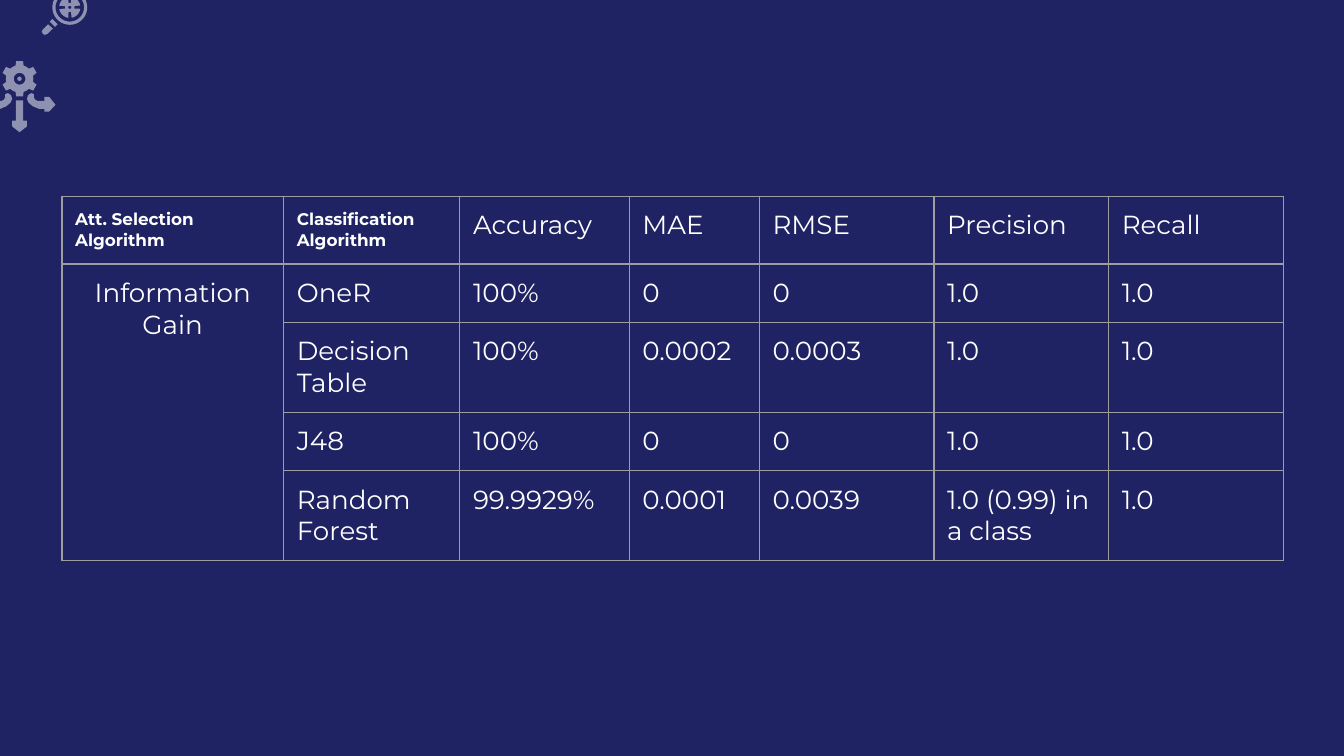
from dataclasses import dataclass
from math import cos, radians, sin

from lxml.etree import SubElement
from pptx import Presentation
from pptx.dml.color import RGBColor as Color
from pptx.enum.text import PP_ALIGN as Align
from pptx.oxml.ns import qn
from pptx.util import Cm, Pt


@dataclass(frozen=True)
class Theme:
    back: str = "1F2363"
    ink: str = "FFFFFF"
    border: str = "9E9E9E"
    font: str = "Montserrat"
    small: float = 9
    body: float = 14
    border_width: float = 0.75
    icon_alpha: int = 50
    padding: float = 0.25


class Painter:
    def __init__(self, page, theme):
        self.page = page
        self.theme = theme

    def background(self):
        fill = self.page.background.fill
        fill.solid()
        fill.fore_color.rgb = Color.from_string(self.theme.back)

    def outline(self, *contours):
        """Draw one translucent shape; later contours cut holes."""
        loops = [[(Cm(x), Cm(y)) for x, y in contour] for contour in contours]
        builder = self.page.shapes.build_freeform(*loops[0][0], scale=1.0)
        builder.add_line_segments(loops[0][1:], close=True)
        for loop in loops[1:]:
            builder.move_to(*loop[0])
            builder.add_line_segments(loop[1:], close=True)
        shape = builder.convert_to_shape()
        shape.shadow.inherit = False
        shape.line.fill.background()
        shape.fill.solid()
        shape.fill.fore_color.rgb = Color.from_string(self.theme.ink)
        tint = shape.fill._xPr.find(".//" + qn("a:srgbClr"))
        SubElement(tint, qn("a:alpha"), val=str(self.theme.icon_alpha * 1000))

    def borders(self, cell):
        properties = cell._tc.get_or_add_tcPr()
        for side in ("lnL", "lnR", "lnT", "lnB"):
            line = SubElement(properties, qn(f"a:{side}"), w=str(Pt(self.theme.border_width)))
            fill = SubElement(line, qn("a:solidFill"))
            SubElement(fill, qn("a:srgbClr"), val=self.theme.border)

    def cell(self, cell, words, **formats):
        self.borders(cell)
        cell.fill.background()
        for side in ("left", "right", "top", "bottom"):
            setattr(cell, f"margin_{side}", Cm(self.theme.padding))
        if not words:
            return
        para = cell.text_frame.paragraphs[0]
        span = para.add_run()
        span.text = words
        values = {"name": self.theme.font, "size": Pt(self.theme.body), "bold": False}
        for key, value in (values | formats).items():
            setattr(span.font, key, value)
        span.font.color.rgb = Color.from_string(self.theme.ink)

    def table(self, left, top, widths, row_height, rows):
        frame = self.page.shapes.add_table(
            len(rows), len(widths), Cm(left), Cm(top),
            Cm(sum(widths)), Cm(row_height * len(rows)))
        table = frame.table
        table.horz_banding = False
        table.first_row = False
        for column, width in zip(table.columns, widths):
            column.width = Cm(width)
        for r, row in enumerate(rows):
            table.rows[r].height = Cm(row_height)
            for c, words in enumerate(row):
                heading = r == 0 and c < 2
                formats = {"size": Pt(self.theme.small), "bold": True} if heading else {}
                self.cell(table.cell(r, c), words, **formats)
        return table


def polar(center, radius, angle):
    return (center[0] + radius * cos(radians(angle)),
            center[1] + radius * sin(radians(angle)))


def circle(center, radius):
    return [polar(center, radius, angle) for angle in range(0, 360, 10)]


def gear(center, outer, inner):
    corners = ((-17, inner), (-11, outer), (11, outer), (17, inner), (30, inner))
    return [polar(center, radius, angle + turn)
            for angle in range(-90, 270, 60) for turn, radius in corners]


def crosshair(center, radius, notch):
    points = []
    for start in range(0, 360, 90):
        points += [polar(center, radius, start + turn) for turn in range(8, 83, 6)]
        points += [polar(center, notch, start + turn) for turn in (75, 105)]
    return points


# Icon outlines, in centimetres
GEAR_CENTER = (0.37, 1.49)
LENS_CENTER = (1.32, 0.14)
DOWN_ARROW = [(0.3, 1.9), (0.44, 1.9), (0.44, 2.28), (0.51, 2.28), (0.51, 2.39),
              (0.37, 2.5), (0.23, 2.39), (0.23, 2.28), (0.3, 2.28)]
RIGHT_ARROW = [(0.59, 1.76), (0.64, 1.78), (0.64, 1.83), (0.66, 1.88), (0.71, 1.91),
               (0.84, 1.91), (0.84, 1.83), (0.93, 1.83), (1.05, 1.98), (0.93, 2.11),
               (0.84, 2.11), (0.84, 2.06), (0.74, 2.06), (0.62, 2.01), (0.54, 1.94),
               (0.51, 1.87), (0.53, 1.8)]
LEFT_ARROW = [(2 * GEAR_CENTER[0] - x, y) for x, y in RIGHT_ARROW]
HANDLE = [(0.91, 0.46), (0.81, 0.56), (0.79, 0.6), (0.81, 0.64), (0.85, 0.66),
          (0.9, 0.64), (1, 0.54)]
COLLAR = [(0.99, 0.36), (0.94, 0.41), (1.04, 0.51), (1.09, 0.46), (1.04, 0.41)]

# Table content
WIDTHS = [4.19, 3.33, 3.2, 2.46, 3.3, 3.3, 3.3]
ROWS = [
    ["Att. Selection Algorithm", "Classification Algorithm", "Accuracy", "MAE", "RMSE",
     "Precision", "Recall"],
    ["Information Gain", "OneR", "100%", "0", "0", "1.0", "1.0"],
    ["", "Decision Table", "100%", "0.0002", "0.0003", "1.0", "1.0"],
    ["", "J48", "100%", "0", "0", "1.0", "1.0"],
    ["", "Random Forest", "99.9929%", "0.0001", "0.0039", "1.0 (0.99) in a class", "1.0"],
]


def main():
    deck = Presentation()
    deck.slide_width, deck.slide_height = Cm(25.4), Cm(14.29)
    page = deck.slides.add_slide(deck.slide_layouts[6])
    painter = Painter(page, Theme())
    painter.background()

    # Gear with three arrows
    painter.outline(gear(GEAR_CENTER, 0.34, 0.26), circle(GEAR_CENTER, 0.11))
    painter.outline(circle(GEAR_CENTER, 0.04))
    for arrow in (DOWN_ARROW, LEFT_ARROW, RIGHT_ARROW):
        painter.outline(arrow)

    # Magnifying glass
    painter.outline(crosshair(LENS_CENTER, 0.2, 0.09), circle(LENS_CENTER, 0.03))
    painter.outline(HANDLE)
    painter.outline(circle(LENS_CENTER, 0.33), circle(LENS_CENTER, 0.27))
    painter.outline(COLLAR)

    # Results table
    table = painter.table(1.17, 3.71, WIDTHS, 1.07, ROWS)
    table.cell(1, 0).merge(table.cell(4, 0))
    table.cell(1, 0).text_frame.paragraphs[0].alignment = Align.CENTER

    deck.save("out.pptx")


if __name__ == "__main__":
    main()
